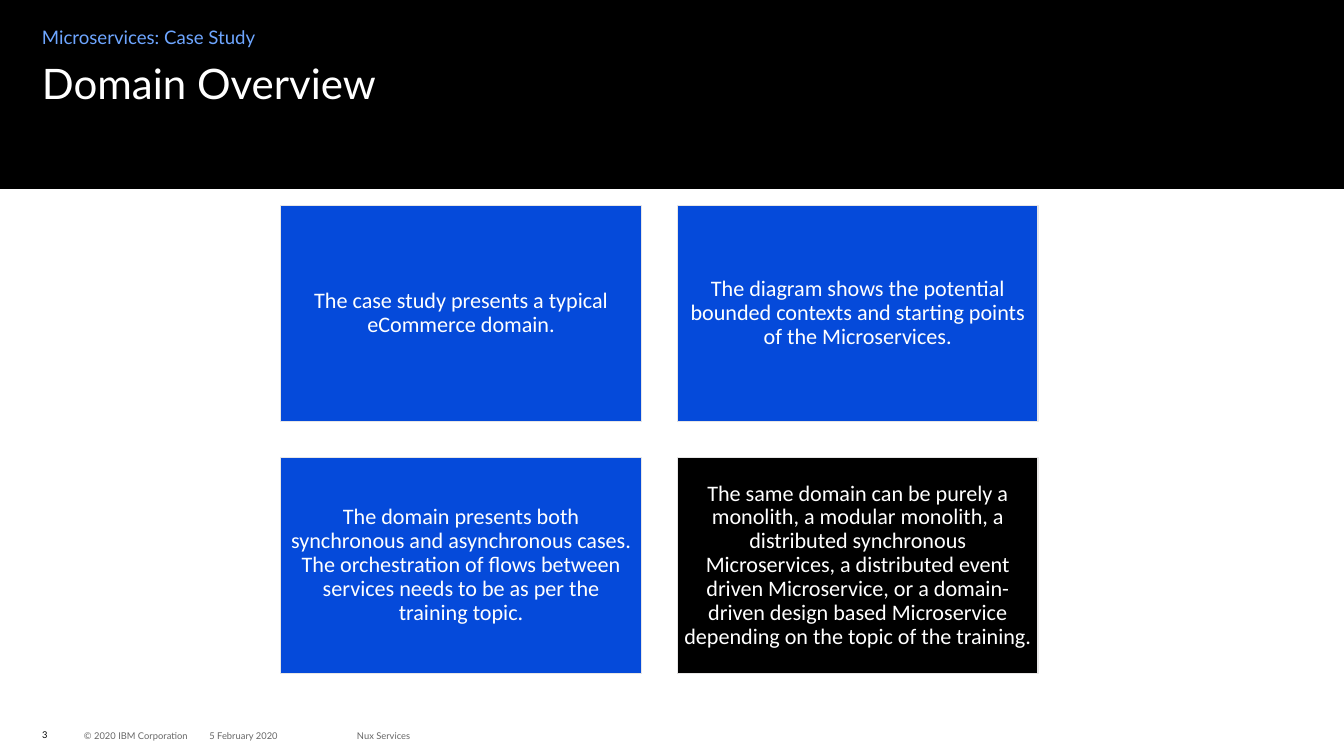
from dataclasses import dataclass

from pptx import Presentation
from pptx.dml.color import RGBColor
from pptx.enum.shapes import MSO_SHAPE
from pptx.enum.text import MSO_ANCHOR, PP_ALIGN
from pptx.util import Pt

RECT = MSO_SHAPE.RECTANGLE
TOP, MIDDLE = MSO_ANCHOR.TOP, MSO_ANCHOR.MIDDLE
LEFT, CENTER = PP_ALIGN.LEFT, PP_ALIGN.CENTER

BLACK, WHITE, BLUE = "000000", "FFFFFF", "054ADA"
LIGHT_BLUE, GRAY, PALE_GRAY = "6EA6FF", "666666", "E7E6E6"


@dataclass
class Label:
    text: str
    left: float
    top: float
    width: float
    height: float
    size: float
    color: str
    anchor: MSO_ANCHOR = MIDDLE
    spacing: float = 1.0


@dataclass
class Card:
    text: str
    fill: str = BLUE


# Header and footer texts
LABELS = [
    Label("Microservices: Case Study", 36, 20.9, 518, 21.6, 16, LIGHT_BLUE, TOP, 1.05),
    Label("Domain Overview", 36, 54, 1080, 90, 36, WHITE, TOP, 0.9),
    Label("3", 36, 621.4, 26, 17.3, 8, BLACK),
    Label("© 2020 IBM Corporation", 72, 622.1, 105, 17.3, 8, GRAY),
    Label("5 February 2020", 179.5, 622.1, 108, 17.3, 8, GRAY),
    Label("Nux Services", 306, 622.1, 180, 17.3, 8, GRAY),
]

# Card grid
CARDS = [
    Card("The case study presents a typical eCommerce domain."),
    Card("The diagram shows the potential bounded contexts and starting points "
         "of the Microservices."),
    Card("The domain presents both synchronous and asynchronous cases. The "
         "orchestration of flows between services needs to be as per the training topic."),
    Card("The same domain can be purely a monolith, a modular monolith, a distributed "
         "synchronous Microservices, a distributed event driven Microservice, or a "
         "domain-driven design based Microservice depending on the topic of the training.",
         BLACK),
]
COLUMNS = 2
GRID_LEFT, GRID_TOP = 240.7, 176.4
CARD_W, CARD_H, GAP = 309, 185, 31


def rgb(color: str) -> RGBColor:
    return RGBColor.from_string(color)


def set_text(sp, text: str, *, size: float, color: str, font: str = "Lato",
             align: PP_ALIGN = LEFT, anchor: MSO_ANCHOR = MIDDLE,
             spacing: float = 1.0, inset: float = 0) -> None:
    tf = sp.text_frame
    tf.word_wrap = True
    tf.vertical_anchor = anchor
    tf.margin_left = tf.margin_right = tf.margin_top = tf.margin_bottom = Pt(inset)
    p = tf.paragraphs[0]
    p.alignment = align
    p.line_spacing = spacing
    r = p.add_run()
    r.text = text
    r.font.name = font
    r.font.size = Pt(size)
    r.font.color.rgb = rgb(color)


def add_rect(s, left: float, top: float, width: float, height: float, fill: str):
    sp = s.shapes.add_shape(RECT, Pt(left), Pt(top), Pt(width), Pt(height))
    sp.shadow.inherit = False
    sp.fill.solid()
    sp.fill.fore_color.rgb = rgb(fill)
    sp.line.fill.background()
    return sp


def add_label(s, label: Label) -> None:
    sp = s.shapes.add_textbox(Pt(label.left), Pt(label.top),
                              Pt(label.width), Pt(label.height))
    set_text(sp, label.text, size=label.size, color=label.color,
             anchor=label.anchor, spacing=label.spacing)


def add_card(s, card: Card, index: int) -> None:
    row, col = divmod(index, COLUMNS)
    sp = add_rect(s, GRID_LEFT + col * (CARD_W + GAP), GRID_TOP + row * (CARD_H + GAP),
                  CARD_W, CARD_H, card.fill)
    sp.line.color.rgb = rgb(PALE_GRAY)
    sp.line.width = Pt(1)
    set_text(sp, card.text, size=19, color=WHITE, font="Calibri",
             align=CENTER, spacing=0.9, inset=5.5)


def main() -> None:
    prs = Presentation()
    prs.slide_width, prs.slide_height = Pt(1152), Pt(648)
    s = prs.slides.add_slide(prs.slide_layouts[6])

    # Header band
    add_rect(s, 0, 0, 1152, 162, BLACK)
    for label in LABELS:
        add_label(s, label)
    for index, card in enumerate(CARDS):
        add_card(s, card, index)

    prs.save("out.pptx")


if __name__ == "__main__":
    main()
